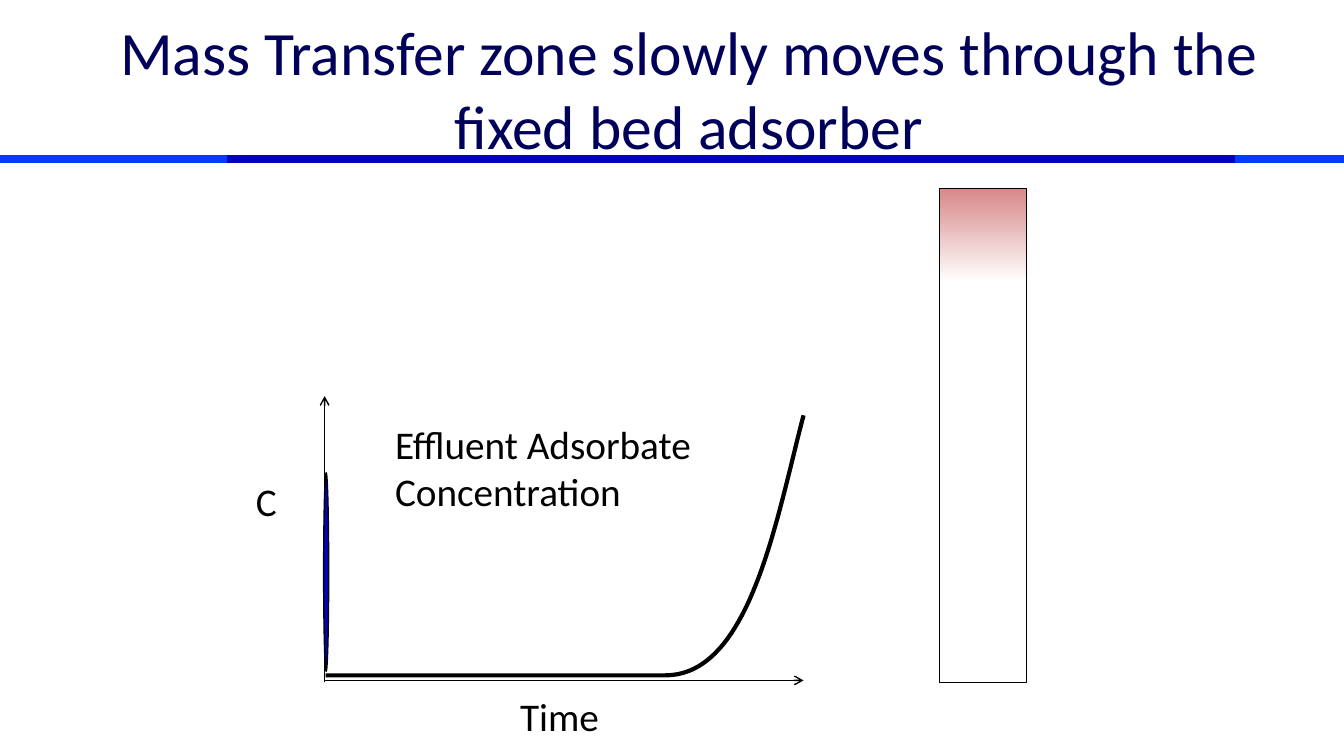
from dataclasses import dataclass

from lxml.etree import SubElement
from pptx import Presentation
from pptx.dml.color import RGBColor
from pptx.enum.shapes import MSO_CONNECTOR, MSO_SHAPE
from pptx.enum.text import MSO_ANCHOR, MSO_AUTO_SIZE, PP_ALIGN
from pptx.oxml.ns import qn
from pptx.util import Inches, Pt

COLORS = {
    "black": "000000",
    "white": "FFFFFF",
    "title": "00005A",
    "rule": "003CFE",
    "accent": "0300BE",
    "adsorbate": "D88888",
}


@dataclass(frozen=True)
class Line:
    start: tuple[float, float]
    end: tuple[float, float]
    color: str = "black"
    width: float = 1
    arrow: bool = False


@dataclass(frozen=True)
class Label:
    text: str
    box: tuple[float, float, float, float]
    wrap: bool = False
    size: float = 28
    color: str = "black"
    title: bool = False


RULES = [
    Line((0, 1.58), (13.33, 1.58), "rule", 6),
    Line((2.25, 1.58), (12.25, 1.58), "accent", 6),
]
AXES = [
    Line((3.22, 6.77), (3.22, 3.93), arrow=True),
    Line((3.22, 6.75), (7.97, 6.75), arrow=True),
]
LABELS = [
    Label("Effluent Adsorbate Concentration", (3.82, 4.12, 3.49, 1.04), wrap=True),
    Label("C", (2.44, 4.69, 0.42, 0.57)),
    Label("Time", (5.06, 6.82, 1.01, 0.57)),
    Label("Mass Transfer zone slowly moves through the fixed bed adsorber",
          (0.67, 0.25, 12.33, 1.25), True, 44, "title", True),
]
BED = (9.32, 1.87, 0.86, 4.9)
TRANSFER_ZONE = (9.32, 1.87, 0.86, 0.93)
MARKER = (3.21, 4.69, 0.05, 1.97)
CURVE_START = (3.23, 6.7)
BREAKTHROUGH = [(6.6, 6.7), (7.44, 6.7), (7.7, 5.15), (7.97, 4.12)]
CURVE_STEPS = 40


def rgb(name: str) -> RGBColor:
    return RGBColor.from_string(COLORS[name])


def set_line(line, color: str, width: float) -> None:
    line.color.rgb = rgb(color)
    line.width = Pt(width)


def add_line(slide, spec: Line) -> None:
    connector = slide.shapes.add_connector(
        MSO_CONNECTOR.STRAIGHT, *map(Inches, spec.start + spec.end))
    set_line(connector.line, spec.color, spec.width)
    if spec.arrow:
        SubElement(connector.get_or_add_ln(), qn("a:tailEnd"), type="arrow")
    SubElement(connector._element.spPr, qn("a:effectLst"))


def add_plain_shape(slide, kind: MSO_SHAPE, box: tuple[float, float, float, float]):
    shape = slide.shapes.add_shape(kind, *map(Inches, box))
    shape.shadow.inherit = False
    return shape


def add_bed(slide) -> None:
    zone = add_plain_shape(slide, MSO_SHAPE.RECTANGLE, TRANSFER_ZONE)
    zone.fill.gradient()
    zone.fill.gradient_angle = 270
    for stop, color in zip(zone.fill.gradient_stops, ("adsorbate", "white")):
        stop.color.rgb = rgb(color)
    zone.line.fill.background()
    bed = add_plain_shape(slide, MSO_SHAPE.RECTANGLE, BED)
    bed.fill.background()
    set_line(bed.line, "black", 1)


def bezier_point(t: float) -> tuple[int, int]:
    weights = ((1 - t) ** 3, 3 * t * (1 - t) ** 2, 3 * t ** 2 * (1 - t), t ** 3)
    x, y = (sum(weight * value for weight, value in zip(weights, values))
            for values in zip(*BREAKTHROUGH))
    return Inches(x), Inches(y)


def add_breakthrough_curve(slide) -> None:
    builder = slide.shapes.build_freeform(*map(Inches, CURVE_START))
    builder.add_line_segments(
        [bezier_point(step / CURVE_STEPS) for step in range(CURVE_STEPS + 1)],
        close=False)
    curve = builder.convert_to_shape()
    curve.shadow.inherit = False
    curve.fill.background()
    set_line(curve.line, "black", 3)


def add_marker(slide) -> None:
    marker = add_plain_shape(slide, MSO_SHAPE.OVAL, MARKER)
    marker.fill.solid()
    marker.fill.fore_color.rgb = rgb("accent")
    set_line(marker.line, "black", 1)


def add_label(slide, label: Label) -> None:
    frame = slide.shapes.add_textbox(*map(Inches, label.box)).text_frame
    frame.word_wrap = label.wrap
    frame.auto_size = MSO_AUTO_SIZE.NONE if label.title else MSO_AUTO_SIZE.SHAPE_TO_FIT_TEXT
    frame.vertical_anchor = MSO_ANCHOR.MIDDLE if label.title else MSO_ANCHOR.TOP
    paragraph = frame.paragraphs[0]
    paragraph.text = label.text
    paragraph.alignment = PP_ALIGN.CENTER if label.title else PP_ALIGN.LEFT
    paragraph.font.name = "Calibri"
    paragraph.font.size = Pt(label.size)
    paragraph.font.color.rgb = rgb(label.color)


def main() -> None:
    presentation = Presentation()
    presentation.slide_width = Inches(13.33)
    presentation.slide_height = Inches(7.5)
    slide = presentation.slides.add_slide(presentation.slide_layouts[6])
    add_bed(slide)
    for line in RULES + AXES:
        add_line(slide, line)
    add_breakthrough_curve(slide)
    add_marker(slide)
    for label in LABELS:
        add_label(slide, label)
    presentation.save("out.pptx")


if __name__ == "__main__":
    main()
